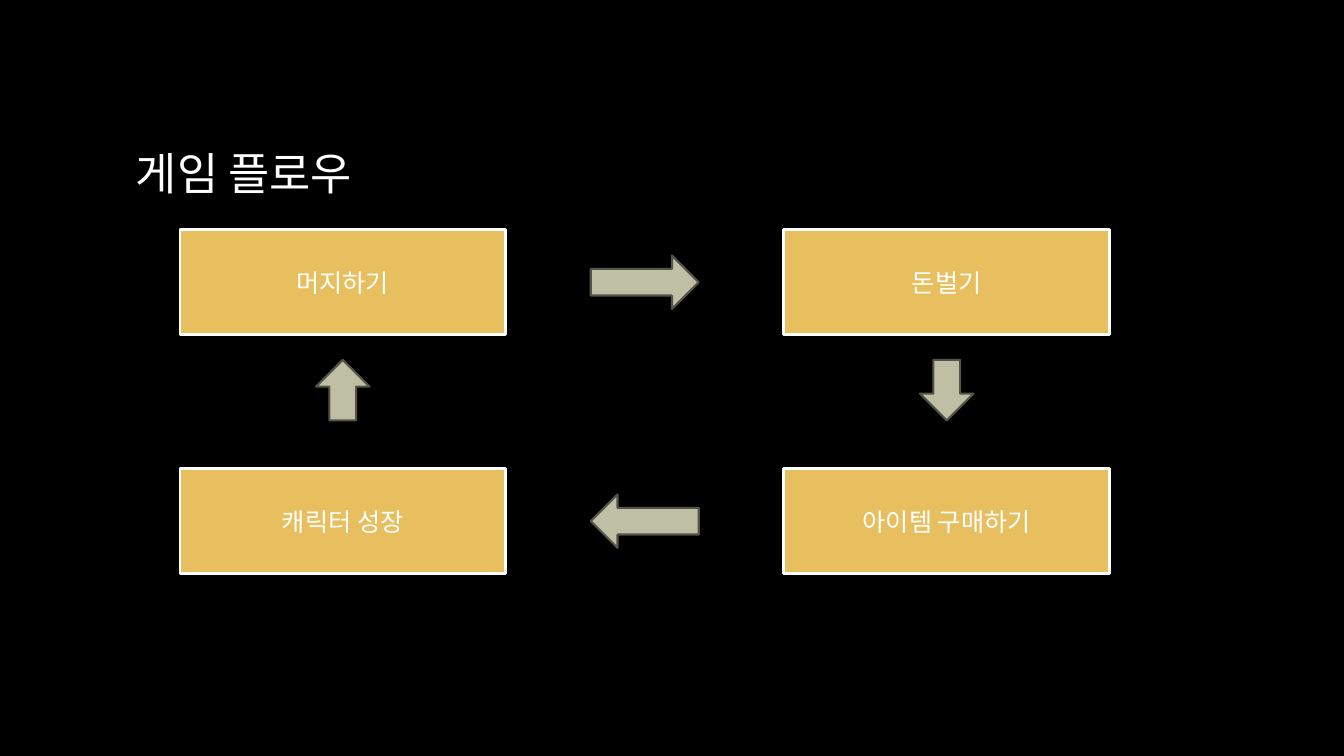
"""Build the game flow slide: four steps joined in a clockwise loop by arrows."""
from pptx import Presentation
from pptx.dml.color import RGBColor
from pptx.enum.shapes import MSO_SHAPE
from pptx.enum.text import MSO_ANCHOR, PP_ALIGN
from pptx.util import Inches, Pt

COLORS = {
    "background": "000000",
    "text": "FFFFFF",
    "step": "E7BF5F",
    "step_line": "FFFFFF",
    "arrow": "BFBFA5",
    "arrow_line": "545448",
}
TITLE_FORMAT = {"name": "Quicksand", "size": Pt(32)}
STEP_FORMAT = {"name": "Quicksand", "size": Pt(18)}
FRAME_FORMAT = {"word_wrap": True, "vertical_anchor": MSO_ANCHOR.MIDDLE}

LEFT_X, RIGHT_X = 3.4, 9.39
TOP_Y, BOTTOM_Y = 2.8, 5.17
MIDDLE_X, MIDDLE_Y = (LEFT_X + RIGHT_X) / 2, 3.87
STEP_SIZE = (3.23, 1.04)
LONG_ARROW, SHORT_ARROW = (1.07, 0.53), (0.6, 0.53)

STEPS = [
    ("머지하기", LEFT_X, TOP_Y),
    ("돈벌기", RIGHT_X, TOP_Y),
    ("아이템 구매하기", RIGHT_X, BOTTOM_Y),
    ("캐릭터 성장", LEFT_X, BOTTOM_Y),
]
ARROWS = [
    (MIDDLE_X, TOP_Y, LONG_ARROW),
    (RIGHT_X, MIDDLE_Y, SHORT_ARROW),
    (MIDDLE_X, BOTTOM_Y, LONG_ARROW),
    (LEFT_X, MIDDLE_Y, SHORT_ARROW),
]


def color(name):
    return RGBColor.from_string(COLORS[name])


def apply_format(target, values):
    for attribute, value in values.items():
        setattr(target, attribute, value)


def write_text(frame, text, font_format, alignment):
    apply_format(frame, FRAME_FORMAT)
    paragraph = frame.paragraphs[0]
    paragraph.alignment = alignment
    run = paragraph.add_run()
    run.text = text
    apply_format(run.font, font_format)
    run.font.color.rgb = color("text")


def add_title(slide, text):
    title = slide.shapes.add_textbox(
        Inches(1.25), Inches(0.67), Inches(10.83), Inches(2.08)
    )
    write_text(title.text_frame, text, TITLE_FORMAT, PP_ALIGN.LEFT)


def add_centered(slide, preset, center_x, center_y, size, role, line_width):
    width, height = size
    shape = slide.shapes.add_shape(
        preset,
        Inches(center_x - width / 2),
        Inches(center_y - height / 2),
        Inches(width),
        Inches(height),
    )
    shape.shadow.inherit = False
    shape.fill.solid()
    shape.fill.fore_color.rgb = color(role)
    shape.line.color.rgb = color(f"{role}_line")
    shape.line.width = Pt(line_width)
    return shape


def add_step(slide, text, center_x, center_y):
    step = add_centered(
        slide, MSO_SHAPE.RECTANGLE, center_x, center_y, STEP_SIZE, "step", 2
    )
    write_text(step.text_frame, text, STEP_FORMAT, PP_ALIGN.CENTER)


def add_arrow(slide, center_x, center_y, size, rotation):
    arrow = add_centered(
        slide, MSO_SHAPE.RIGHT_ARROW, center_x, center_y, size, "arrow", 1.5
    )
    arrow.rotation = rotation


def main():
    deck = Presentation()
    apply_format(deck, {"slide_width": Inches(13.33), "slide_height": Inches(7.5)})
    slide = deck.slides.add_slide(deck.slide_layouts[6])
    slide.background.fill.solid()
    slide.background.fill.fore_color.rgb = color("background")

    add_title(slide, "게임 플로우")
    for step in STEPS:
        add_step(slide, *step)
    for turn, arrow in enumerate(ARROWS):
        add_arrow(slide, *arrow, rotation=90 * turn)
    deck.save("out.pptx")


if __name__ == "__main__":
    main()
